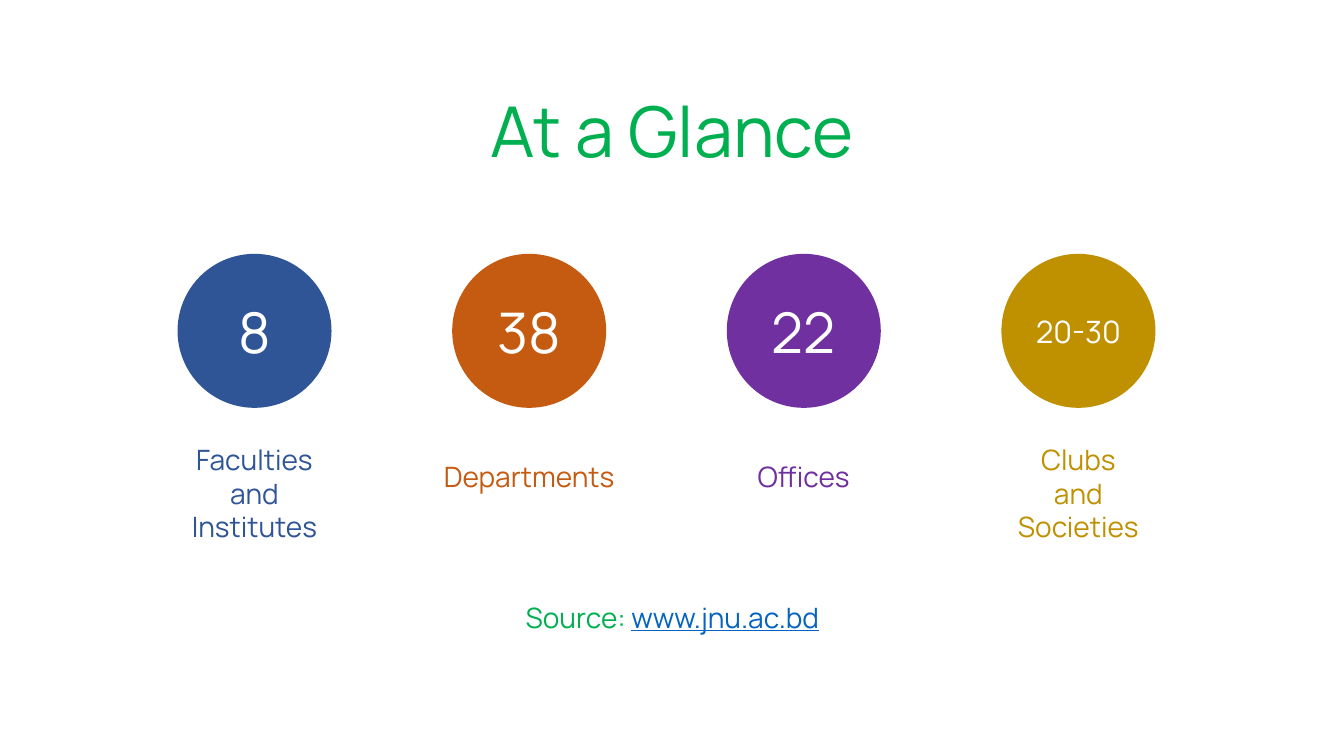
from pptx import Presentation
from pptx.dml.color import RGBColor
from pptx.enum.shapes import MSO_SHAPE
from pptx.enum.text import MSO_ANCHOR, PP_ALIGN
from pptx.util import Pt

OVAL = MSO_SHAPE.OVAL
MIDDLE = MSO_ANCHOR.MIDDLE
CENTER = PP_ALIGN.CENTER
FONT = "Manrope"
COLORS = {
    "green": "00B050",
    "blue": "2F5597",
    "orange": "C55A11",
    "purple": "7030A0",
    "gold": "BF9000",
    "link": "0563C1",
    "white": "FFFFFF",
}
# figure, figure size, label, label width, colour
FACTS = [
    ("8", 40, "Faculties\nand Institutes", 130, "blue"),
    ("38", 40, "Departments", 138, "orange"),
    ("22", 40, "Offices", 83, "purple"),
    ("20-30", 22, "Clubs\nand Societies", 130, "gold"),
]
CIRCLE = 110


def rgb(color):
    return RGBColor.from_string(COLORS[color])


def style_run(run, size, color):
    run.font.name = FONT
    run.font.size = Pt(size)
    run.font.color.rgb = rgb(color)


def write(frame, text, size, color):
    """Fill a text frame with centred text in one size and colour."""
    frame.text = text
    for paragraph in frame.paragraphs:
        paragraph.alignment = CENTER
        for run in paragraph.runs:
            style_run(run, size, color)


def add_text(slide, left, top, width, height, text, size, color, wrap=False):
    box = slide.shapes.add_textbox(Pt(left), Pt(top), Pt(width), Pt(height))
    box.text_frame.word_wrap = wrap
    write(box.text_frame, text, size, color)
    return box.text_frame


def add_title(slide, left, top, width, height):
    title = add_text(slide, left, top, width, height,
                     "At a Glance", 50, "green", wrap=True)
    title.vertical_anchor = MIDDLE
    title.paragraphs[0].line_spacing = 0.9


def add_fact(slide, left, top, fact):
    """Place a figure in a circle with its label centred below."""
    figure, size, label, label_width, color = fact
    circle = slide.shapes.add_shape(OVAL, Pt(left), Pt(top), Pt(CIRCLE), Pt(CIRCLE))
    circle.shadow.inherit = False
    circle.fill.solid()
    circle.fill.fore_color.rgb = rgb(color)
    circle.line.fill.background()
    circle.text_frame.vertical_anchor = MIDDLE
    write(circle.text_frame, figure, size, "white")

    two_lines = "\n" in label
    label_height = 55.5 if two_lines else 31.5
    label_left = left + (CIRCLE - label_width) / 2
    label_top = top + 159 - label_height / 2
    add_text(slide, label_left, label_top, label_width, label_height,
             label, 20, color, wrap=two_lines)


def add_facts(slide, left, top, width):
    pitch = (width - CIRCLE) / (len(FACTS) - 1)
    for column, fact in enumerate(FACTS):
        add_fact(slide, left + column * pitch, top, fact)


def add_source(slide, left, top, width, height):
    source = add_text(slide, left, top, width, height, "Source: ", 20, "green")
    address = source.paragraphs[0].add_run()
    address.text = "www.jnu.ac.bd"
    style_run(address, 20, "link")
    address.font.underline = True


def main():
    prs = Presentation()
    prs.slide_width, prs.slide_height = Pt(960), Pt(540)
    slide = prs.slides.add_slide(prs.slide_layouts[6])
    add_title(slide, 75, 44, 810, 104.4)
    add_facts(slide, 126.8, 181.3, 698.5)
    add_source(slide, 368, 425.5, 224.6, 31.5)
    prs.save("out.pptx")


if __name__ == "__main__":
    main()
